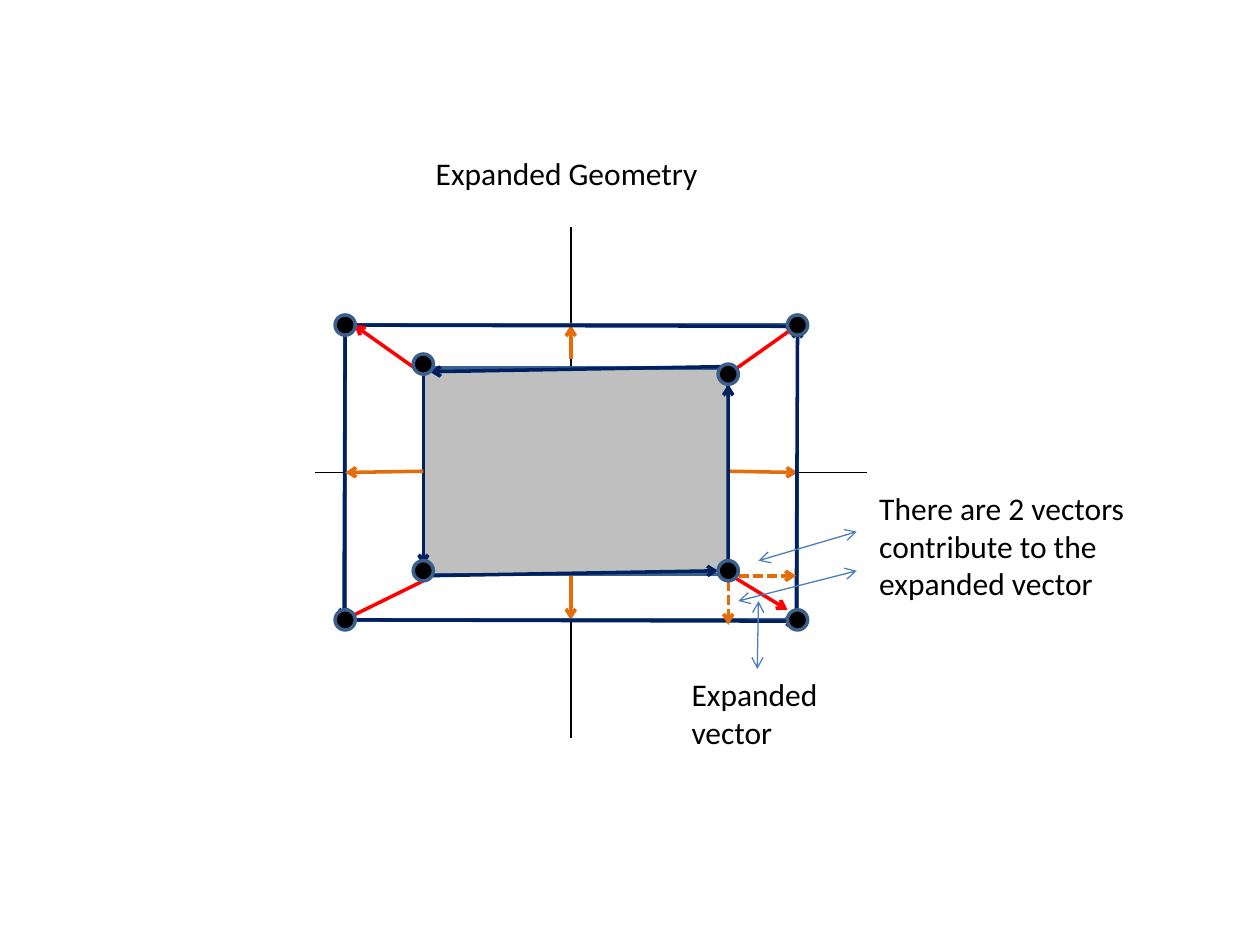
from lxml import etree
from pptx import Presentation
from pptx.dml.color import RGBColor
from pptx.enum.dml import MSO_LINE
from pptx.enum.shapes import MSO_CONNECTOR, MSO_SHAPE
from pptx.oxml.ns import qn
from pptx.util import Inches, Pt

STRAIGHT = MSO_CONNECTOR.STRAIGHT
RECT, OVAL = MSO_SHAPE.RECTANGLE, MSO_SHAPE.OVAL
DASH = MSO_LINE.SQUARE_DOT
BLACK, GRAY, EDGE = "000000", "BFBFBF", "3A5F8C"
ORANGE, NAVY, RED, BLUE = "E46C0A", "002060", "FF0000", "4B7EBC"
DOT = 0.16


def rgb(value):
    return RGBColor.from_string(value)


def add_line(slide, start, end, color, width=2, ends=("tailEnd",), dash=None):
    cx = slide.shapes.add_connector(STRAIGHT, *map(Inches, start + end))
    cx.line.color.rgb = rgb(color)
    cx.line.width = Pt(width)
    if dash:
        cx.line.dash_style = dash
    ln = cx.line._get_or_add_ln()
    for tag in ends:
        etree.SubElement(ln, qn("a:" + tag), type="arrow")
    etree.SubElement(cx._element.spPr, qn("a:effectLst"))


def add_shape(slide, kind, box, fill=None):
    sp = slide.shapes.add_shape(kind, *map(Inches, box))
    sp.shadow.inherit = False
    if fill:
        sp.fill.solid()
        sp.fill.fore_color.rgb = rgb(fill)
    else:
        sp.fill.background()
    sp.line.color.rgb = rgb(EDGE)
    sp.line.width = Pt(2)


def add_dot(slide, x, y):
    add_shape(slide, OVAL, (x - DOT / 2, y - DOT / 2, DOT, DOT), BLACK)


def add_label(slide, box, text):
    tf = slide.shapes.add_textbox(*map(Inches, box)).text_frame
    tf.word_wrap = True
    r = tf.paragraphs[0].add_run()
    r.text = text
    for name, value in {"name": "Calibri", "size": Pt(18)}.items():
        setattr(r.font, name, value)
    r.font.color.rgb = rgb(BLACK)


def add_arrows(slide, color, segments, **options):
    for start, end in segments:
        add_line(slide, start, end, color, **options)


def main():
    prs = Presentation()
    prs.slide_width, prs.slide_height = Inches(10), Inches(7.5)
    slide = prs.slides.add_slide(prs.slide_layouts[6])

    axes = [((2.5, 3.75), (6.88, 3.75)), ((4.53, 1.8), (4.53, 5.86))]
    add_arrows(slide, BLACK, axes, width=1, ends=())

    add_shape(slide, RECT, (3.36, 2.92, 2.42, 1.64), GRAY)
    add_arrows(slide, ORANGE, [
        ((5.78, 3.74), (6.33, 3.75)),
        ((4.53, 2.85), (4.53, 2.58)),
        ((4.53, 4.57), (4.53, 4.92)),
    ])
    add_arrows(slide, NAVY, [
        ((3.36, 4.57), (5.7, 4.53)),
        ((5.78, 4.57), (5.78, 3.05)),
        ((5.73, 2.91), (3.41, 2.95)),
        ((3.36, 2.97), (3.36, 4.49)),
    ])
    add_line(slide, (5.84, 4.59), (6.25, 4.84), RED)

    add_shape(slide, RECT, (2.74, 2.58, 3.59, 2.34))
    add_arrows(slide, NAVY, [
        ((2.73, 4.92), (6.33, 4.93)),
        ((6.32, 4.93), (6.33, 2.59)),
        ((6.33, 2.59), (2.73, 2.58)),
        ((2.74, 2.59), (2.73, 4.92)),
    ])
    add_line(slide, (3.36, 3.74), (2.74, 3.75), ORANGE)
    add_arrows(slide, RED, [
        ((5.78, 2.97), (6.33, 2.58)),
        ((3.36, 2.97), (2.81, 2.58)),
        ((3.36, 4.61), (2.73, 4.92)),
    ])
    add_arrows(slide, ORANGE, [
        ((5.78, 4.61), (5.78, 4.96)),
        ((5.75, 4.57), (6.32, 4.57)),
    ], dash=DASH)

    outer = [(x, y) for x in (2.74, 6.33) for y in (2.58, 4.92)]
    inner = [(3.36, 2.89), (3.36, 4.53), (5.78, 4.53), (5.78, 2.97)]
    for x, y in outer + inner:
        add_dot(slide, x, y)

    add_arrows(slide, BLUE, [
        ((6.02, 4.77), (6.01, 5.31)),
        ((6.02, 4.45), (6.8, 4.22)),
        ((5.86, 4.77), (6.8, 4.53)),
    ], width=0.75, ends=("headEnd", "tailEnd"))

    add_label(slide, (3.36, 1.17, 2.5, 0.4), "Expanded Geometry")
    add_label(slide, (5.39, 5.31, 1.86, 0.71), "Expanded vector")
    add_label(slide, (6.88, 3.83, 2.5, 1.01),
              "There are 2 vectors contribute to the expanded vector")
    prs.save("out.pptx")


main()
